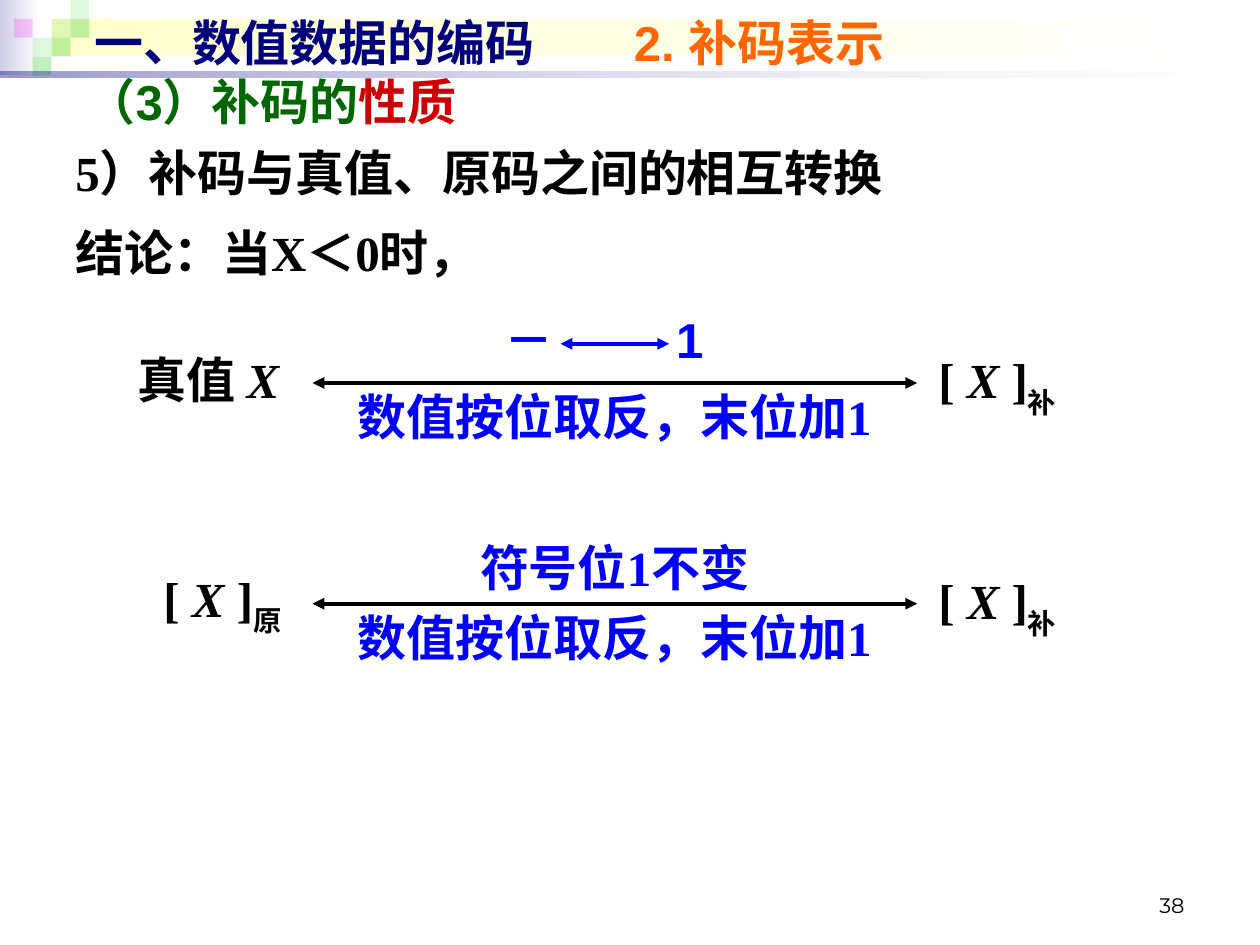
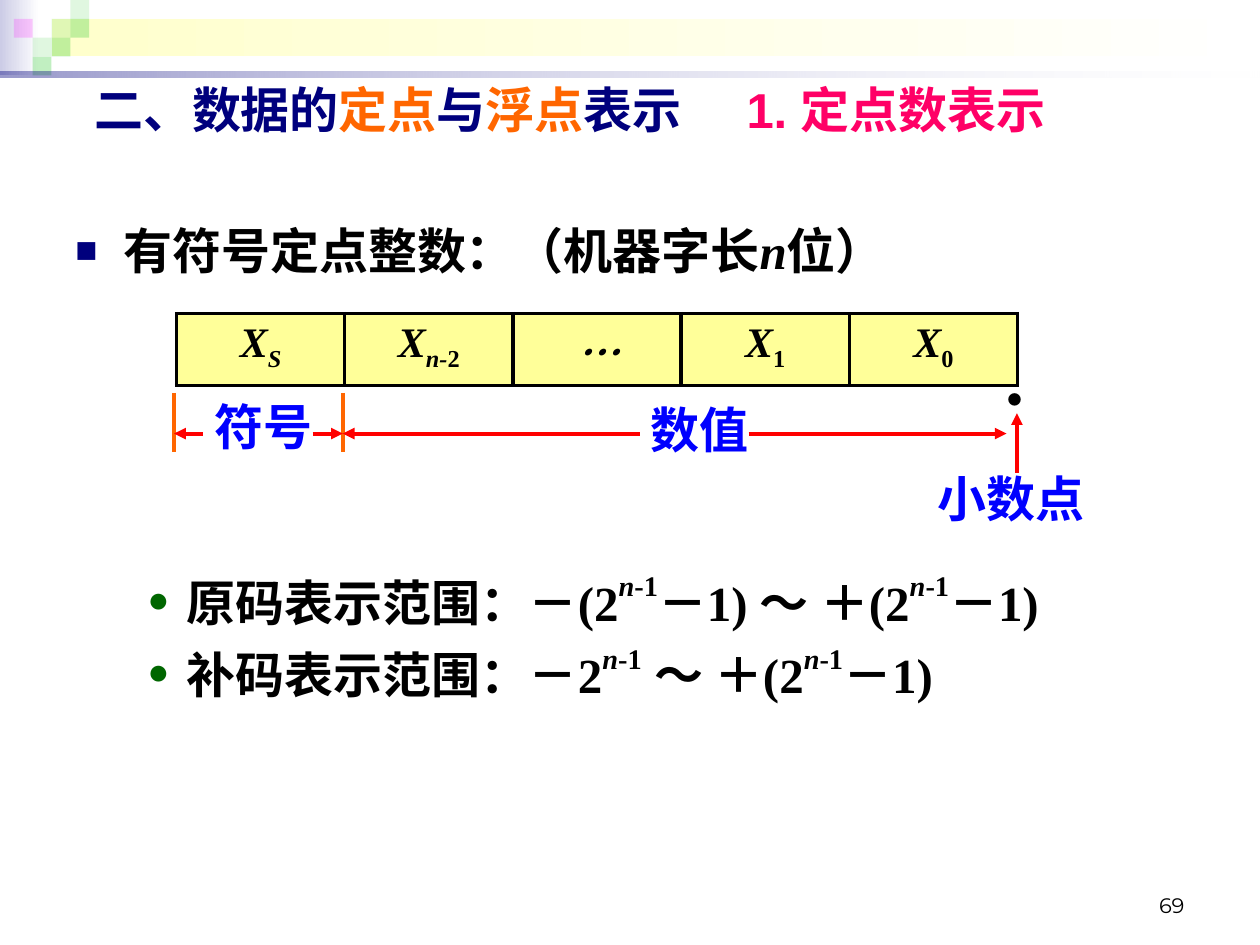
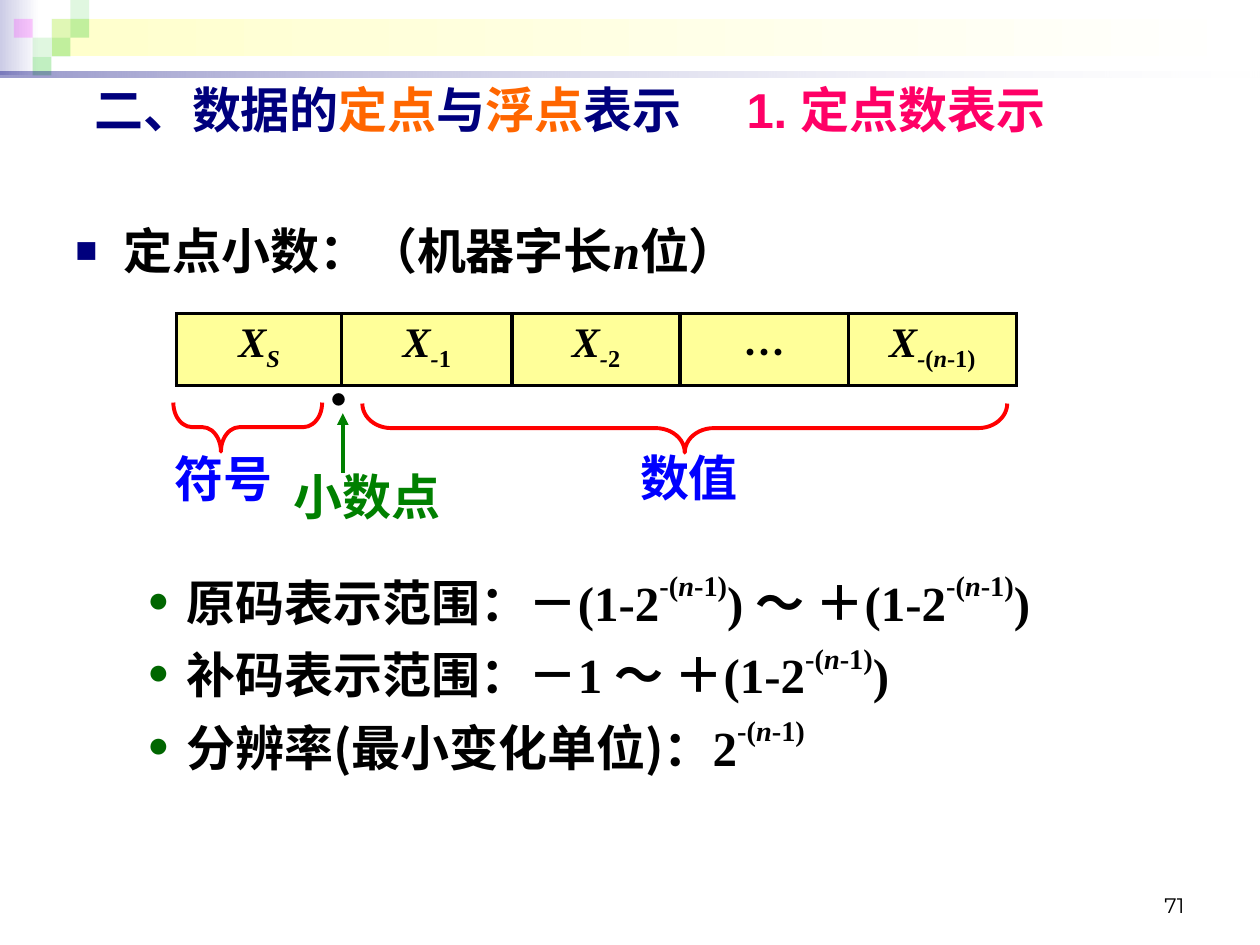
from lxml.etree import SubElement
from pptx import Presentation
from pptx.dml.color import RGBColor
from pptx.enum.shapes import MSO_CONNECTOR, MSO_SHAPE
from pptx.enum.text import MSO_ANCHOR, PP_ALIGN
from pptx.oxml.ns import qn
from pptx.util import Cm, Pt

RECTANGLE, BRACE, STRAIGHT = MSO_SHAPE.RECTANGLE, MSO_SHAPE.LEFT_BRACE, MSO_CONNECTOR.STRAIGHT
LEFT, CENTER, RIGHT = PP_ALIGN.LEFT, PP_ALIGN.CENTER, PP_ALIGN.RIGHT
TOP, MIDDLE, BOTTOM = MSO_ANCHOR.TOP, MSO_ANCHOR.MIDDLE, MSO_ANCHOR.BOTTOM

SERIF, SANS, CHINESE, NUMBER_FONT = "Times New Roman", "Arial", "Noto Sans CJK SC", "Montserrat"

BLACK = RGBColor(0x00, 0x00, 0x00)
WHITE = RGBColor(0xFF, 0xFF, 0xFF)
NAVY = RGBColor(0x00, 0x00, 0x7D)
BLUE = RGBColor(0x00, 0x00, 0xFF)
RED = RGBColor(0xFF, 0x00, 0x00)
DARK_RED = RGBColor(0xCC, 0x00, 0x00)
ORANGE = RGBColor(0xFF, 0x66, 0x00)
PINK = RGBColor(0xFF, 0x00, 0x66)
GREEN = RGBColor(0x00, 0x80, 0x00)
DARK_GREEN = RGBColor(0x00, 0x66, 0x00)
SQUARE_GREEN = RGBColor(0x33, 0xCC, 0x33)
MAGENTA = RGBColor(0xFF, 0x00, 0xFF)
LAVENDER = RGBColor(0xCC, 0xCC, 0xE6)
CREAM = RGBColor(0xFF, 0xFF, 0xCC)
CELL_YELLOW = RGBColor(0xFF, 0xFF, 0x99)

LINE_WIDTH = Pt(2.25)
LABEL_HEIGHT = 1.45

# Run formats
ITALIC = {"italic": True}
SUB = {"baseline": -25}
SUB_ITALIC = {"baseline": -25, "italic": True}
SUPER = {"baseline": 50}
SUPER_ITALIC = {"baseline": 50, "italic": True}


def write_text(place, paragraphs, box=None, align=LEFT, anchor=TOP, before=0,
               line_spacing=None, tab=None, bullet=None, **base_format):
    """Write paragraphs of runs into a cell, or into a new text box on a slide."""
    if box:
        frame = place.shapes.add_textbox(*map(Cm, box)).text_frame
        frame.word_wrap = True
        frame.vertical_anchor = anchor
    else:
        frame = place.text_frame
    for index, runs in enumerate(paragraphs):
        paragraph = frame.add_paragraph() if index else frame.paragraphs[0]
        paragraph.alignment = align
        paragraph.line_spacing = line_spacing
        properties = paragraph._p.get_or_add_pPr()
        if before:
            paragraph.space_before = Pt(0)
            spacing = properties.find(qn("a:spcBef"))
            spacing.clear()
            SubElement(spacing, qn("a:spcPct"), val=str(before * 1000))
        if bullet:
            symbol, colour, margin, hanging = bullet
            properties.set("marL", str(Cm(margin)))
            properties.set("indent", str(-Cm(hanging)))
            SubElement(SubElement(properties, qn("a:buClr")), qn("a:srgbClr"), val=str(colour))
            SubElement(properties, qn("a:buSzPct"), val="75000")
            SubElement(properties, qn("a:buFont"), typeface=SANS)
            SubElement(properties, qn("a:buChar"), char=symbol)
        if tab:
            tabs = SubElement(properties, qn("a:tabLst"))
            SubElement(tabs, qn("a:tab"), pos=str(Cm(tab)), algn="l")
        for item in runs:
            text, changes = (item, {}) if isinstance(item, str) else item
            style = {**base_format, **changes}
            run = paragraph.add_run()
            run.text = text
            run.font.size = Pt(style.get("size", 28))
            run.font.bold = style.get("bold", True)
            run.font.italic = style.get("italic", False)
            run.font.color.rgb = style.get("colour", BLACK)
            run.font.name = style.get("font", SERIF)
            run_properties = run.font._element
            SubElement(run_properties, qn("a:ea"), typeface=CHINESE)
            if "baseline" in style:
                run_properties.set("baseline", str(style["baseline"] * 1000))


def add_line(slide, start, end, colour, arrows=()):
    """Draw a straight line; arrows names the ends that carry a triangle."""
    line = slide.shapes.add_connector(STRAIGHT, *map(Cm, start + end))
    line.line.color.rgb = colour
    line.line.width = LINE_WIDTH
    for arrow in arrows:
        SubElement(line.line._ln, qn(f"a:{arrow}"), type="triangle")
    SubElement(line._element.spPr, qn("a:effectLst"))


presentation = Presentation()
presentation.slide_width, presentation.slide_height = Cm(25.4), Cm(19.05)
slides = [presentation.slides.add_slide(presentation.slide_layouts[6]) for _ in range(3)]
conversion_slide, integer_slide, fraction_slide = slides

# Shared banner: gradient bands, squares on a grid, underline; then the page number
SQUARE = 0.38
SQUARES = [(2, 1, SQUARE_GREEN, 15), (3, 0, SQUARE_GREEN, 15), (3, 1, SQUARE_GREEN, 30),
           (1, 2, SQUARE_GREEN, 15), (0, 1, MAGENTA, 20), (2, 2, SQUARE_GREEN, 30),
           (1, 3, SQUARE_GREEN, 30)]
banner = [((0, 0, 0.79, 1.52), [(LAVENDER, 100), (WHITE, 100)]),
          ((1.04, 0.38, 24.26, 0.76), [(CREAM, 100), (WHITE, 100)])]
banner += [((0.28 + column * SQUARE, row * SQUARE, SQUARE, SQUARE), [(colour, opacity)])
           for column, row, colour, opacity in SQUARES]
banner.append(((0, 1.44, 25.4, 0.13), [(NAVY, 40), (WHITE, 10)]))

for slide, page in zip(slides, ("38", "69", "71")):
    for box, stops in banner:
        shape = slide.shapes.add_shape(RECTANGLE, *map(Cm, box))
        shape.shadow.inherit = False
        shape.line.fill.background()
        if len(stops) == 1:
            shape.fill.solid()
            shape.fill.fore_color.rgb = stops[0][0]
        else:
            shape.fill.gradient()
            shape.fill.gradient_angle = 0
            for stop, (colour, _) in zip(shape.fill.gradient_stops, stops):
                stop.color.rgb = colour
        for colour_element, (_, opacity) in zip(shape._element.spPr.iter(qn("a:srgbClr")), stops):
            if opacity < 100:
                SubElement(colour_element, qn("a:alpha"), val=str(opacity * 1000))
    write_text(slide, [[page]], box=(18.21, 17.35, 5.92, 1.27), align=RIGHT, anchor=BOTTOM,
               size=12, font=NUMBER_FONT, bold=False)

# Slide 1: headings and conclusion
write_text(conversion_slide, [["一、数值数据的编码\t", ("2. 补码表示", {"colour": ORANGE})]],
           box=(1.65, 0.13, 22.86, LABEL_HEIGHT), anchor=MIDDLE, tab=10.88, font=SANS, colour=NAVY)
write_text(conversion_slide, [["（3）补码的", ("性质", {"colour": DARK_RED})]],
           box=(1.5, 1.32, 22.86, LABEL_HEIGHT), anchor=MIDDLE, font=SANS, colour=DARK_GREEN)
write_text(conversion_slide, [["5）补码与真值、原码之间的相互转换"], ["结论：当X＜0时，"]],
           box=(1.27, 2.51, 23.24, 15.6), line_spacing=1.2, before=20)

# Slide 1: the two conversions
BOTH_ENDS = ("headEnd", "tailEnd")
complement, sign_magnitude = [["[ ", ("X ", ITALIC), "]", (name, {"baseline": -30})]
                              for name in "补原"]
for left, top, width, runs in [
    (2.11, 6.93, 4.19, ["真值 ", ("X", ITALIC)]),
    (2.49, 11.33, 3.99, sign_magnitude),
    (18.11, 6.93, 3.99, complement),
    (18.11, 11.38, 3.99, complement),
]:
    write_text(conversion_slide, [runs], box=(left, top, width, LABEL_HEIGHT),
               align=CENTER, before=50)
for top, rule in [(7.67, "数值按位取反，末位加1"), (12.12, "数值按位取反，末位加1"),
                  (10.72, "符号位1不变")]:
    write_text(conversion_slide, [[rule]], box=(5.89, top, 13, LABEL_HEIGHT),
               align=CENTER, before=50, colour=BLUE)
write_text(conversion_slide, [["－\t", ("1", {"font": SANS})]], box=(9.92, 6.12, 5.5, LABEL_HEIGHT),
           before=50, tab=3.46, colour=BLUE)
add_line(conversion_slide, (11.3, 6.93), (13.49, 6.93), BLUE, BOTH_ENDS)
for y in (7.72, 12.17):
    add_line(conversion_slide, (6.3, y), (18.49, y), BLACK, BOTH_ENDS)

# Slides 2 and 3: title, word format table and ranges
integer_power = [("n", SUPER_ITALIC), ("-1", SUPER)]
fraction_power = [("-(", SUPER), ("n", SUPER_ITALIC), ("-1)", SUPER)]
ELLIPSIS = ("…", {"font": CHINESE, "italic": True})
X = ("X", ITALIC)
FORMATS = [
    (integer_slide, "有符号定点整数：（机器字长", [3.39, 3.39, 3.39, 3.39, 3.39],
     [[X, ("S", SUB_ITALIC)], [X, ("n-", SUB_ITALIC), ("2", SUB)], [ELLIPSIS],
      [X, ("1", SUB)], [X, ("0", SUB)]],
     [["原码表示范围：－(2", *integer_power, "－1) ～ ＋(2", *integer_power, "－1)"],
      ["补码表示范围：－2", *integer_power, " ～ ＋(2", *integer_power, "－1)"]]),
    (fraction_slide, "定点小数：（机器字长", [3.33, 3.43, 3.39, 3.39, 3.39],
     [[X, ("S", SUB_ITALIC)], [X, ("-", SUB_ITALIC), ("1", SUB)],
      [X, ("-", SUB_ITALIC), ("2", SUB)], [("…", {"font": CHINESE})],
      [X, ("-", SUB_ITALIC), ("(", SUB), ("n", SUB_ITALIC), ("-1)", SUB)]],
     [["原码表示范围：－(1-2", *fraction_power, ") ～ ＋(1-2", *fraction_power, ")"],
      ["补码表示范围：－1 ～ ＋(1-2", *fraction_power, ")"],
      ["分辨率", ("(", {"font": CHINESE}), "最小变化单位", (")", {"font": CHINESE}),
       "：2", *fraction_power]]),
]
for slide, heading, widths, bits, ranges in FORMATS:
    write_text(slide, [["二、数据的", ("定点", {"colour": ORANGE}), "与",
                        ("浮点", {"colour": ORANGE}), "表示\t",
                        ("1. 定点数表示", {"colour": PINK})]],
               box=(1.65, 1.47, 22.86, LABEL_HEIGHT), anchor=MIDDLE, tab=13.15,
               font=SANS, colour=NAVY)
    write_text(slide, [[heading, ("n", ITALIC), "位）"]], box=(1.27, 4.32, 23.24, 1.8),
               before=20, bullet=("■", NAVY, 0.97, 0.97))
    write_text(slide, ranges, box=(1.27, 11.33, 23.24, 5.99),
               before=20, bullet=("●", DARK_GREEN, 2.24, 0.79))

    table = slide.shapes.add_table(1, len(bits), Cm(3.56), Cm(6.32),
                                   Cm(sum(widths)), Cm(LABEL_HEIGHT)).table
    table.first_row = table.horz_banding = False
    for column, (width, runs) in enumerate(zip(widths, bits)):
        table.columns[column].width = Cm(width)
        cell = table.cell(0, column)
        write_text(cell, [runs], align=CENTER, before=20, size=24)
        cell_properties = cell._tc.get_or_add_tcPr()
        for side in ("lnL", "lnR", "lnT", "lnB"):
            border = SubElement(cell_properties, qn(f"a:{side}"), w=str(LINE_WIDTH))
            SubElement(SubElement(border, qn("a:solidFill")), qn("a:srgbClr"), val=str(BLACK))
        cell.fill.solid()
        cell.fill.fore_color.rgb = CELL_YELLOW

# Slides 2 and 3: labels below the table
for slide, text, left, top, width, colour, font in [
    (integer_slide, "·", 19.71, 7.32, 1.4, BLACK, CHINESE),
    (integer_slide, "小数点", 18.29, 9.32, 4.19, BLUE, SERIF),
    (integer_slide, "符号", 3.71, 7.87, 3.2, BLUE, SERIF),
    (integer_slide, "数值", 12.5, 7.92, 3.2, BLUE, SERIF),
    (fraction_slide, "·", 6.1, 7.32, 1.4, BLACK, CHINESE),
    (fraction_slide, "小数点", 5.31, 9.27, 4.19, GREEN, SERIF),
    (fraction_slide, "符号", 2.9, 8.92, 3.2, BLUE, SERIF),
    (fraction_slide, "数值", 12.29, 8.89, 3.2, BLUE, SERIF),
]:
    write_text(slide, [[text]], box=(left, top, width, LABEL_HEIGHT), align=CENTER,
               before=50, colour=colour, font=font)

# Point markers, and the extents of sign and value
for slide, x, colour in [(integer_slide, 20.5, RED), (fraction_slide, 6.91, GREEN)]:
    add_line(slide, (x, 9.53), (x, 8.33), colour, ("tailEnd",))
for x in (3.51, 6.91):
    add_line(integer_slide, (x, 7.92), (x, 9.12), ORANGE)
for start, end in [(4.09, 3.51), (6.3, 6.91), (12.9, 6.91), (15.09, 20.29)]:
    add_line(integer_slide, (start, 8.74), (end, 8.74), RED, ("tailEnd",))
for box, curve, tip in [((13.31, 2.13, 0.99, 13), 0.59, 0.5),
                        ((4.5, 7.11, 0.99, 3), 0.38, 0.32)]:
    brace = fraction_slide.shapes.add_shape(BRACE, *map(Cm, box))
    brace.shadow.inherit = False
    brace.rotation = 270
    brace.adjustments[0], brace.adjustments[1] = curve, tip
    brace.fill.background()
    brace.line.color.rgb = RED
    brace.line.width = LINE_WIDTH

presentation.save("out.pptx")
